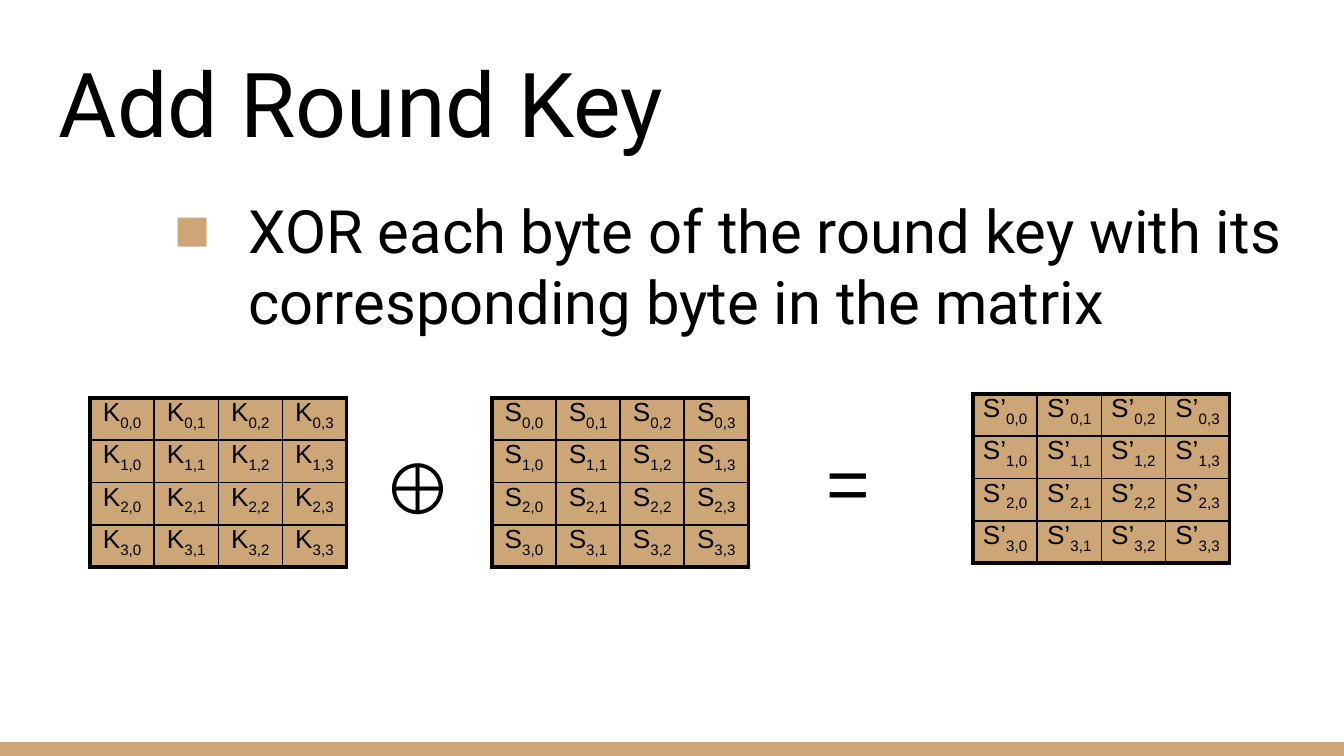
from dataclasses import dataclass

from lxml.etree import SubElement
from pptx import Presentation
from pptx.dml.color import RGBColor
from pptx.enum.shapes import MSO_SHAPE
from pptx.enum.text import MSO_ANCHOR, PP_ALIGN
from pptx.oxml.ns import qn
from pptx.slide import Slide
from pptx.table import _Cell
from pptx.util import Inches, Pt


@dataclass(frozen=True)
class Theme:
    ink: str = "000000"
    tan: str = "CCA677"
    heading_font: str = "Roboto"
    symbol_font: str = "Arial"
    title_size: int = 48
    body_size: int = 32
    xor_size: int = 38
    equals_size: int = 40
    byte_size: int = 14
    outer_line: float = 2.25
    inner_line: float = 1


@dataclass(frozen=True)
class Label:
    text: str
    left: float
    top: float
    width: float
    height: float
    size: int
    font: str
    align: PP_ALIGN = PP_ALIGN.LEFT
    anchor: MSO_ANCHOR = MSO_ANCHOR.TOP
    bulleted: bool = False


@dataclass(frozen=True)
class ByteMatrix:
    symbol: str
    left: float
    top: float


THEME = Theme()
SLIDE_WIDTH = Inches(10)
SLIDE_HEIGHT = SLIDE_WIDTH * 9 // 16
ORDER = 4
MATRIX_WIDTH, MATRIX_HEIGHT = Inches(1.91), Inches(1.26)

LABELS = [
    Label("Add Round Key", 0.34, 0.35, 9.32, 0.91, THEME.title_size,
          THEME.heading_font, anchor=MSO_ANCHOR.BOTTOM),
    Label("XOR each byte of the round key with its corresponding byte in the matrix",
          0.34, 1.34, 9.32, 0.73, THEME.body_size, THEME.heading_font, bulleted=True),
    Label("⊕", 2.75, 3.2, 0.61, 0.79, THEME.xor_size, THEME.symbol_font,
          align=PP_ALIGN.CENTER),
    Label("=", 6.05, 3.14, 0.79, 0.91, THEME.equals_size, THEME.symbol_font),
]
MATRICES = [
    ByteMatrix("S", 3.66, 2.96),
    ByteMatrix("S’", 7.24, 2.93),
    ByteMatrix("K", 0.67, 2.96),
]


def apply_format(target: object, values: dict) -> None:
    for name, value in values.items():
        setattr(target, name, value)


def style_font(font, name: str, size: int) -> None:
    apply_format(font, {"name": name, "size": Pt(size)})
    font.color.rgb = RGBColor.from_string(THEME.ink)


def add_square_bullet(paragraph) -> None:
    paragraph.level = 2
    properties = paragraph._p.get_or_add_pPr()
    properties.set("marL", str(Inches(1.41)))
    properties.set("indent", str(Inches(-0.55)))
    colour = SubElement(properties, qn("a:buClr"))
    SubElement(colour, qn("a:srgbClr"), val=THEME.tan)
    SubElement(properties, qn("a:buFont"), typeface=THEME.symbol_font)
    SubElement(properties, qn("a:buChar"), char="■")


def add_label(slide: Slide, label: Label) -> None:
    box = slide.shapes.add_textbox(Inches(label.left), Inches(label.top),
                                   Inches(label.width), Inches(label.height))
    inset = Inches(0.1)
    apply_format(box.text_frame, {
        "word_wrap": True, "vertical_anchor": label.anchor,
        "margin_left": inset, "margin_top": inset,
        "margin_right": inset, "margin_bottom": inset,
    })
    paragraph = box.text_frame.paragraphs[0]
    paragraph.alignment = label.align
    if label.bulleted:
        add_square_bullet(paragraph)
    run = paragraph.add_run()
    run.text = label.text
    style_font(run.font, label.font, label.size)


def draw_borders(cell: _Cell, row: int, column: int) -> None:
    last = ORDER - 1
    on_edge = {"L": column == 0, "R": column == last, "T": row == 0, "B": row == last}
    properties = cell._tc.get_or_add_tcPr()
    for position, (side, outer) in enumerate(on_edge.items()):
        width = THEME.outer_line if outer else THEME.inner_line
        line = SubElement(properties, qn(f"a:ln{side}"), w=str(Pt(width)))
        SubElement(SubElement(line, qn("a:solidFill")), qn("a:srgbClr"), val=THEME.ink)
        properties.insert(position, line)  # borders come before the fill


def fill_cell(cell: _Cell, symbol: str, row: int, column: int) -> None:
    apply_format(cell, {"margin_left": 0, "margin_top": 0,
                        "margin_right": 0, "margin_bottom": 0})
    cell.fill.solid()
    cell.fill.fore_color.rgb = RGBColor.from_string(THEME.tan)
    draw_borders(cell, row, column)
    paragraph = cell.text_frame.paragraphs[0]
    paragraph.alignment = PP_ALIGN.CENTER
    for text, baseline in ((symbol, 0), (f"{row},{column}", -25000)):
        run = paragraph.add_run()
        run.text = text
        style_font(run.font, THEME.symbol_font, THEME.byte_size)
        if baseline:
            run.font._element.set("baseline", str(baseline))


def add_matrix(slide: Slide, matrix: ByteMatrix) -> None:
    # The table shares its size equally among its rows and columns
    grid = slide.shapes.add_table(
        ORDER, ORDER, Inches(matrix.left), Inches(matrix.top),
        MATRIX_WIDTH, MATRIX_HEIGHT).table
    apply_format(grid, {"first_row": False, "horz_banding": False})
    for row in range(ORDER):
        for column in range(ORDER):
            fill_cell(grid.cell(row, column), matrix.symbol, row, column)


def add_footer_band(slide: Slide) -> None:
    band = slide.shapes.add_shape(MSO_SHAPE.RECTANGLE, Inches(0), Inches(5.52),
                                  SLIDE_WIDTH, Inches(0.11))
    band.shadow.inherit = False
    band.fill.solid()
    band.fill.fore_color.rgb = RGBColor.from_string(THEME.tan)
    band.line.fill.background()


def main() -> None:
    deck = Presentation()
    apply_format(deck, {"slide_width": SLIDE_WIDTH, "slide_height": SLIDE_HEIGHT})
    slide = deck.slides.add_slide(deck.slide_layouts[6])

    # Footer band, heading, statement and operators
    add_footer_band(slide)
    for label in LABELS:
        add_label(slide, label)

    # State, result and round key matrices
    for matrix in MATRICES:
        add_matrix(slide, matrix)

    deck.save("out.pptx")


if __name__ == "__main__":
    main()
